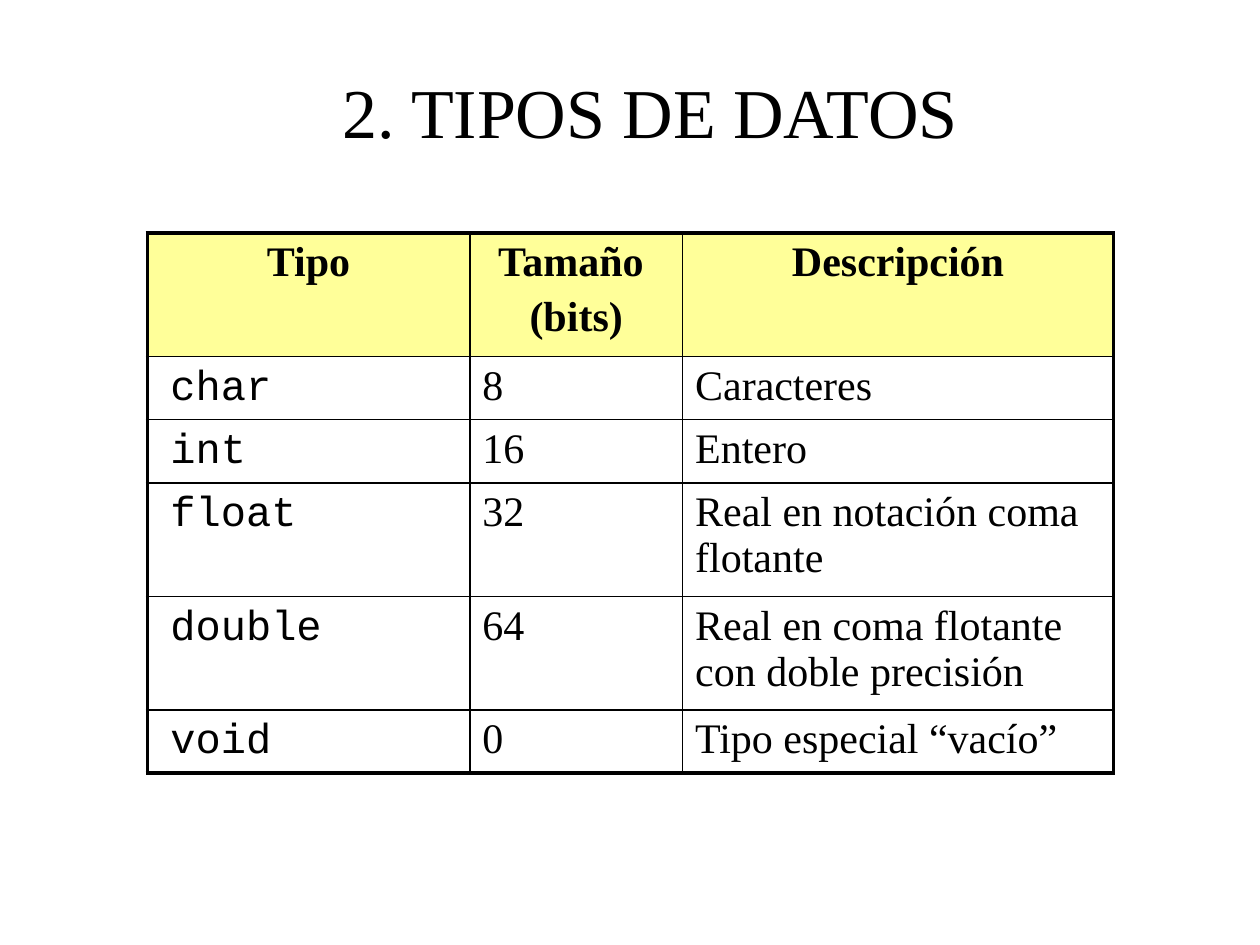
from lxml import etree
from pptx import Presentation
from pptx.dml.color import RGBColor
from pptx.enum.text import MSO_ANCHOR, PP_ALIGN
from pptx.oxml.ns import qn
from pptx.util import Cm, Pt

CENTER, LEFT = PP_ALIGN.CENTER, PP_ALIGN.LEFT
MIDDLE = MSO_ANCHOR.MIDDLE

COLORS = {"text": "000000", "border": "000000", "header": "FFFF99", "body": "FFFFFF"}
SERIF, MONO = "Times New Roman", "Courier New"
THIN, THICK = Pt(0.96), Pt(2.21)

COLUMN_WIDTHS = [6.5, 4.29, 8.69]
ROW_HEIGHTS = [2.49, 1.27, 1.27, 2.29, 2.29, 1.27]
HEADERS = ["Tipo", "Tamaño \n(bits)", "Descripción"]
TYPES = [
    ("char", "8", "Caracteres"),
    ("int", "16", "Entero"),
    ("float", "32", "Real en notación coma flotante"),
    ("double", "64", "Real en coma flotante con doble precisión"),
    ("void", "0", "Tipo especial “vacío”"),
]


def rgb(name):
    return RGBColor.from_string(COLORS[name])


def style_paragraph(paragraph, size, alignment=LEFT, bold=False):
    paragraph.alignment = alignment
    font = paragraph.font
    font.name, font.size, font.bold = SERIF, Pt(size), bold
    font.color.rgb = rgb("text")


def add_title(slide, text):
    box = slide.shapes.add_textbox(Cm(1.7), Cm(0.64), Cm(22.81), Cm(3.18))
    frame = box.text_frame
    frame.word_wrap = True
    frame.vertical_anchor = MIDDLE
    paragraph = frame.paragraphs[0]
    paragraph.text = text
    style_paragraph(paragraph, 40, CENTER)


def set_borders(cell, row, column):
    """Draw thin grid lines, thick along the outside of the table."""
    outer_edges = {
        "lnL": column == 0,
        "lnR": column == len(COLUMN_WIDTHS) - 1,
        "lnT": row == 0,
        "lnB": row == len(ROW_HEIGHTS) - 1,
    }
    properties = cell._tc.get_or_add_tcPr()
    for edge, is_outer in outer_edges.items():
        line = etree.SubElement(properties, qn(f"a:{edge}"), w=str(THICK if is_outer else THIN))
        fill = etree.SubElement(line, qn("a:solidFill"))
        etree.SubElement(fill, qn("a:srgbClr"), val=COLORS["border"])


def fill_cell(cell, row, column, text):
    is_header = row == 0
    set_borders(cell, row, column)
    cell.fill.solid()
    cell.fill.fore_color.rgb = rgb("header" if is_header else "body")
    frame = cell.text_frame
    if column == 0 and not is_header:
        paragraph = frame.paragraphs[0]
        paragraph.add_run().text = " "
        keyword = paragraph.add_run()
        keyword.text = text
        keyword.font.name = MONO
    else:
        frame.text = text
    for paragraph in frame.paragraphs:
        style_paragraph(paragraph, 24, CENTER if is_header else LEFT, is_header)
    for paragraph in frame.paragraphs[1:]:
        paragraph.space_before = Pt(4.8)


def add_types_table(slide):
    rows = [HEADERS, *TYPES]
    table = slide.shapes.add_table(
        len(rows), len(HEADERS), Cm(2.97), Cm(4.7),
        Cm(sum(COLUMN_WIDTHS)), Cm(sum(ROW_HEIGHTS)),
    ).table
    for column, width in zip(table.columns, COLUMN_WIDTHS):
        column.width = Cm(width)
    for row, height in zip(table.rows, ROW_HEIGHTS):
        row.height = Cm(height)
    for row, texts in enumerate(rows):
        for column, text in enumerate(texts):
            fill_cell(table.cell(row, column), row, column, text)


def main():
    presentation = Presentation()
    presentation.slide_width, presentation.slide_height = Cm(25.4), Cm(19.05)
    slide = presentation.slides.add_slide(presentation.slide_layouts[6])
    add_title(slide, "2. TIPOS DE DATOS")
    add_types_table(slide)
    presentation.save("out.pptx")


if __name__ == "__main__":
    main()
